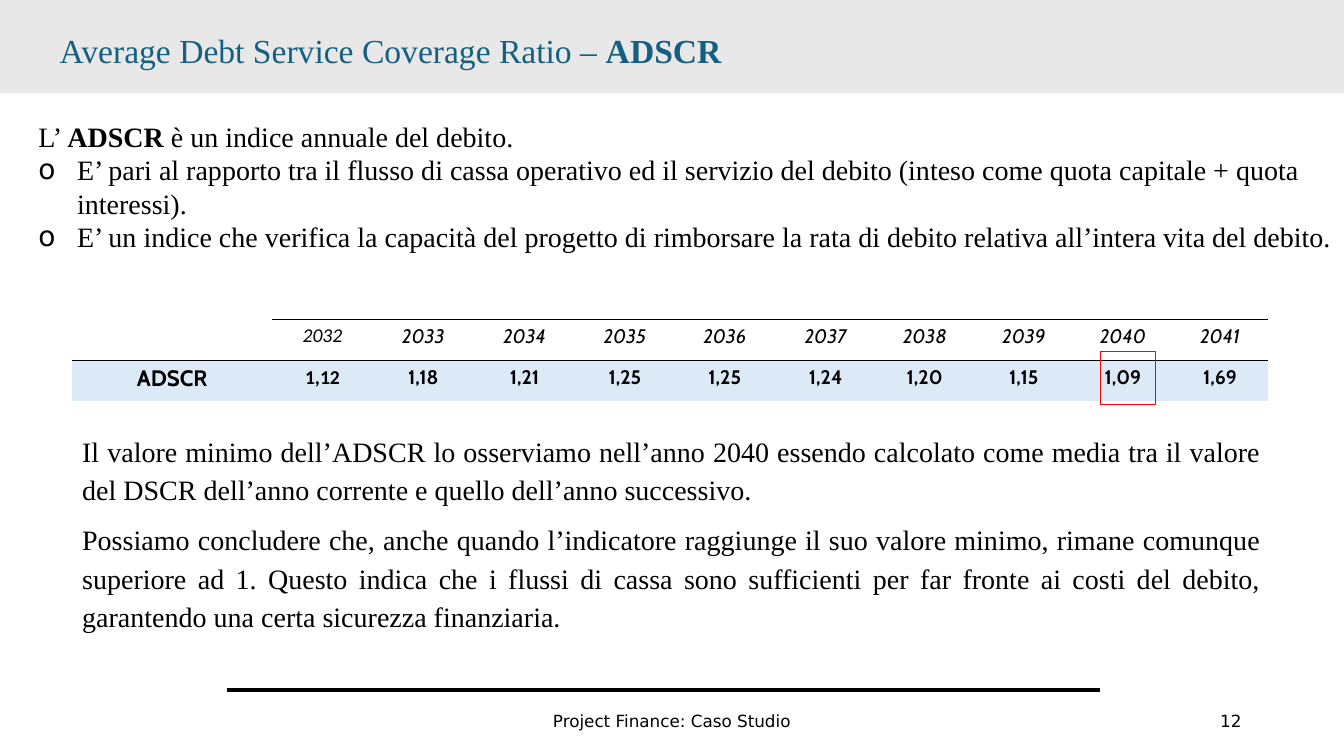
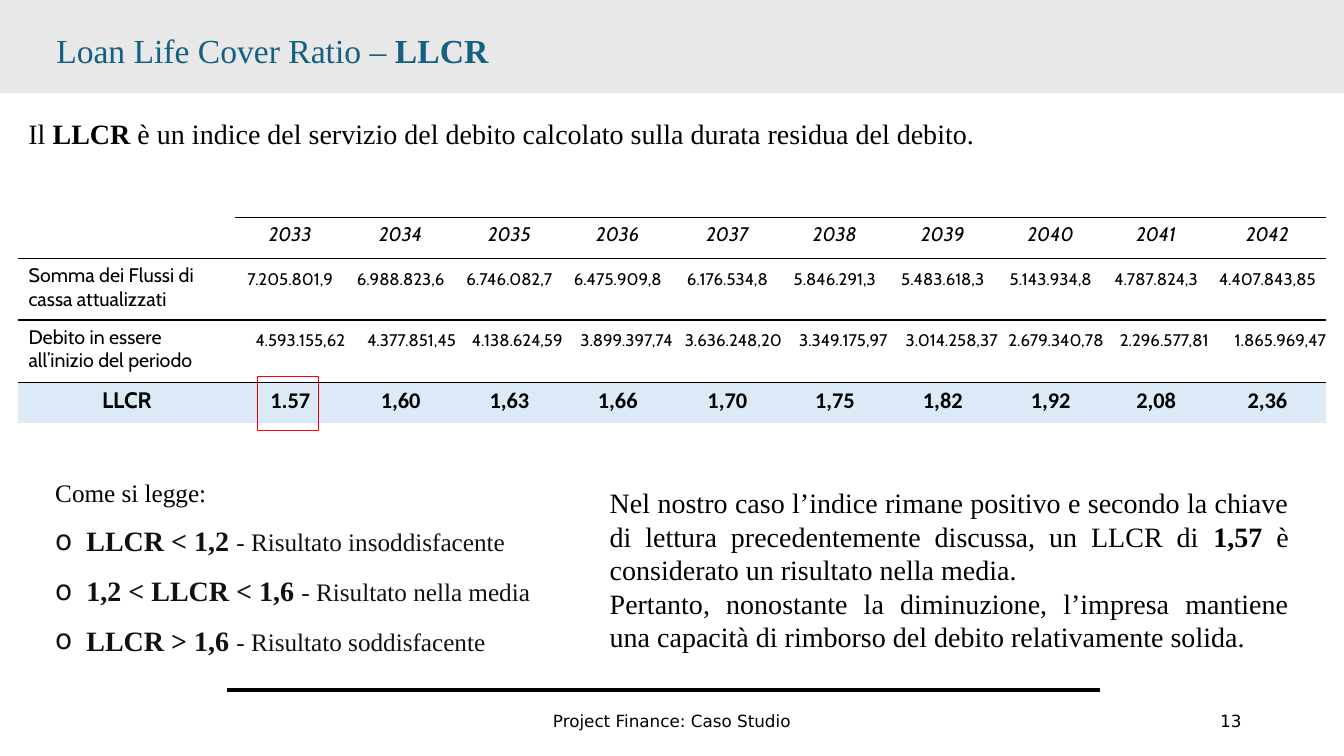
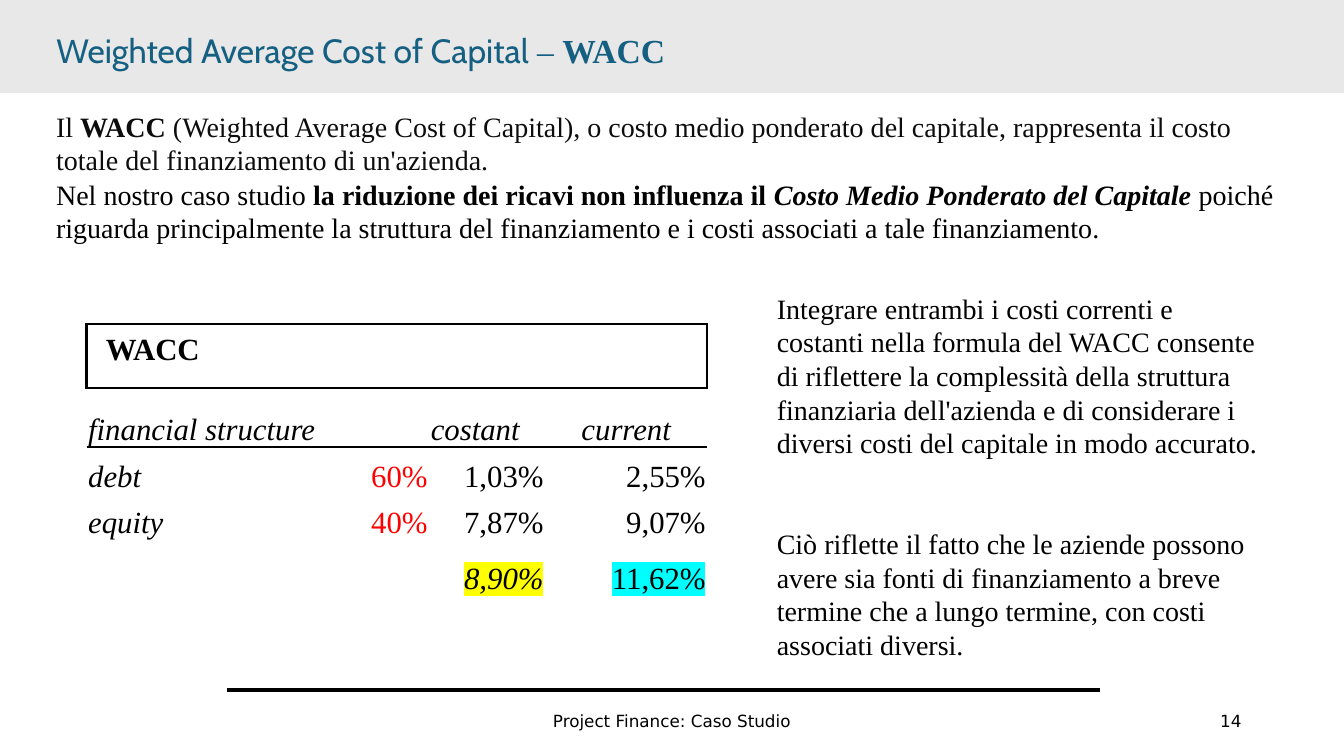
from lxml import etree
from pptx import Presentation
from pptx.dml.color import RGBColor
from pptx.enum.shapes import MSO_CONNECTOR, MSO_SHAPE
from pptx.enum.text import MSO_ANCHOR, MSO_AUTO_SIZE, PP_ALIGN
from pptx.oxml.ns import qn
from pptx.util import Emu, Pt

RECT, LINE = MSO_SHAPE.RECTANGLE, MSO_CONNECTOR.STRAIGHT
TOP, MID, LOW = MSO_ANCHOR.TOP, MSO_ANCHOR.MIDDLE, MSO_ANCHOR.BOTTOM
LEFT, MIDST, RIGHT, JUST = (PP_ALIGN.LEFT, PP_ALIGN.CENTER,
                            PP_ALIGN.RIGHT, PP_ALIGN.JUSTIFY)
FIXED = MSO_AUTO_SIZE.NONE
PLAIN = "{2D5ABB26-0587-4C30-8999-92F81FD0307C}"

COLS, ROWS, UNIT = 160, 90, 76200  # square cells, 12 to the inch
BLACK, TEAL, RED = "000000", "156082", "FF0000"
GREY, SKY, YELLOW, AQUA = "E8E8E8", "DCEAF7", "FFFF00", "00FFFF"
SERIF, CABIN, SANS, CARL = "Times New Roman", "Cabin", "DejaVu Sans", "Calibri"

BODY = dict(size=20, font=SERIF, color=BLACK)
BOLD = dict(bold=True)
FOOT = dict(size=12, font=SANS)
LOOSE = dict(lead=1.15, after=8)


def rgb(code):
    return RGBColor.from_string(code)


def grid(*units):
    return [Emu(round(u * UNIT)) for u in units]


def para(*runs, **style):
    return runs, style


def bold(text, **style):
    return text, {**BOLD, **style}


def node(parent, tag, **attrs):
    return etree.SubElement(parent, qn(tag), attrs)


class Deck:
    def __init__(self, first):
        self.prs = Presentation()
        self.prs.slide_width, self.prs.slide_height = grid(COLS, ROWS)
        self.num = first - 1

    def page(self, *title, left=5.5):
        """Start a slide with its band, title and footer."""
        self.num += 1
        self.slide = self.prs.slides.add_slide(self.prs.slide_layouts[5])
        self.shapes = self.slide.shapes
        band = self.box((0, 0, COLS, 11.1), fill=GREY)
        head = self.shapes.title
        band._element.addnext(head._element)
        head.left, head.top, head.width, head.height = grid(left, 2.9, 148, 6)
        self.fill(head.text_frame, [para(*title, size=24, color=TEAL)])
        self.text((53, 83.4, 54, 4.8),
                  para("Project Finance: Caso Studio", align=MIDST, **FOOT),
                  anchor=MID)
        self.text((113, 83.4, 36, 4.8),
                  para(str(self.num), align=RIGHT, **FOOT), anchor=MID)
        self.rule(27, 131, 82.1)

    def box(self, at, fill=None, line=None):
        shape = self.shapes.add_shape(RECT, *grid(*at))
        shape.shadow.inherit = False
        if fill:
            shape.fill.solid()
            shape.fill.fore_color.rgb = rgb(fill)
        else:
            shape.fill.background()
        if line:
            shape.line.color.rgb = rgb(line)
            shape.line.width = Pt(0.75)
        else:
            shape.line.fill.background()
        return shape

    def rule(self, start, end, row):
        line = self.shapes.add_connector(LINE, *grid(start, row, end, row))
        line.line.color.rgb = rgb(BLACK)
        line.line.width = Pt(3)
        node(line._element.spPr, "a:effectLst")

    def text(self, at, *paras, anchor=TOP):
        self.fill(self.shapes.add_textbox(*grid(*at)).text_frame, paras, anchor)

    def fill(self, frame, paras, anchor=TOP):
        frame.word_wrap = True
        frame.auto_size = FIXED
        frame.vertical_anchor = anchor
        for i, (runs, style) in enumerate(paras):
            par = frame.add_paragraph() if i else frame.paragraphs[0]
            self.lay(par, runs, style)

    def lay(self, par, runs, style):
        """Format a paragraph and add its runs."""
        par.alignment = style.get("align", LEFT)
        if "lead" in style:
            par.line_spacing = style["lead"]
        if "before" in style:
            par.space_before = Pt(style["before"])
        if "after" in style:
            par.space_after = Pt(style["after"])
        if "bullet" in style:
            props, (dent,) = par._p.get_or_add_pPr(), grid(style["bullet"])
            props.set("marL", str(dent))
            props.set("indent", str(-dent))
            node(props, "a:buFont", typeface=SANS)
            node(props, "a:buChar", char="o")
        for item in runs:
            words, own = (item, {}) if isinstance(item, str) else item
            self.run(par, words, {**BODY, **style, **own})

    def run(self, par, words, style):
        run = par.add_run()
        run.text, font = words, run.font
        font.size, font.name = Pt(style["size"]), style["font"]
        font.bold = style.get("bold", False)
        font.italic = style.get("italic", False)
        font.color.rgb = rgb(style["color"])
        if "mark" in style:
            mark = etree.Element(qn("a:highlight"))
            node(mark, "a:srgbClr", val=style["mark"])
            run._r.rPr.find(qn("a:solidFill")).addnext(mark)

    def table(self, at, cols, rows, data):
        """Fill a table from rows of (cells, style); a cell may add style."""
        size = grid(*at, sum(cols), sum(rows))
        table = self.shapes.add_table(len(rows), len(cols), *size).table
        table.first_row = table.horz_banding = False
        table._tbl.tblPr.find(qn("a:tableStyleId")).text = PLAIN
        for col, wide in zip(table.columns, grid(*cols)):
            col.width = wide
        for row, high in zip(table.rows, grid(*rows)):
            row.height = high
        for r, (cells, style) in enumerate(data):
            for c, item in enumerate(cells):
                words, own = (item, {}) if isinstance(item, str) else item
                self.cell(table.cell(r, c), words, {**style, **own})
        return table

    def cell(self, cell, words, style):
        cell.vertical_anchor = style.get("anchor", TOP)
        if "pad" in style:
            (cell.margin_left, cell.margin_top, cell.margin_right,
             cell.margin_bottom) = grid(*style["pad"])
        if "fill" in style:
            cell.fill.solid()
            cell.fill.fore_color.rgb = rgb(style["fill"])
        else:
            cell.fill.background()
        for i, side in enumerate(style.get("edge", "")):
            line = etree.Element(qn("a:ln" + side),
                                 w=str(Pt(style.get("edge_w", 1))))
            node(node(line, "a:solidFill"), "a:srgbClr", val=BLACK)
            cell._tc.get_or_add_tcPr().insert(i, line)
        if words:
            self.lay(cell.text_frame.paragraphs[0], [words], style)


def years(first):
    return [str(first + i) for i in range(10)]


HEAD = dict(size=14, font=CABIN, italic=True, align=MIDST, edge="TB")
TOTAL = dict(size=14, font=CABIN, bold=True, align=MIDST, fill=SKY, edge="T")
CORNER = ("", dict(edge="B"))


def adscr(deck):
    deck.page("Average Debt Service Coverage Ratio – ", bold("ADSCR"), left=5.9)
    deck.text(
        (3.4, 11.6, 156.5, 19.4),
        para("L’ ", bold("ADSCR "), "è un indice annuale del debito.", lead=1.5),
        para("E’ pari al rapporto tra il flusso di cassa operativo ed il "
             "servizio del debito (inteso come quota capitale + quota "
             "interessi).", bullet=4.6),
        para("E’ un indice che verifica la capacità del progetto di rimborsare "
             "la rata di debito relativa all’intera vita del debito.",
             bullet=4.6))
    carl = dict(font=CARL)
    first, *rest = years(2032)
    ratios = "1,18 1,21 1,25 1,25 1,24 1,20 1,15 1,09 1,69".split()
    deck.table(
        (8.6, 38),
        [23.8, 12, 12, 12.1, 11.8, 12, 12, 11.6, 12, 11.6, 11.5], [4.9, 4.9],
        [([CORNER, (first, carl), *rest], HEAD),
         ([("ADSCR", dict(size=16)), ("1,12", carl), *ratios], TOTAL)])
    deck.text(
        (8.6, 50.5, 142.7, 25.4),
        para("Il valore minimo dell’ADSCR lo osserviamo nell’anno 2040 essendo "
             "calcolato come media tra il valore del DSCR dell’anno corrente e "
             "quello dell’anno successivo.", align=JUST, **LOOSE),
        para("Possiamo concludere che, anche quando l’indicatore raggiunge il "
             "suo valore minimo, rimane comunque superiore ad 1. Questo indica "
             "che i flussi di cassa sono sufficienti per far fronte ai costi "
             "del debito, garantendo una certa sicurezza finanziaria.",
             align=JUST, **LOOSE))
    deck.box((131, 41.8, 6.6, 6.4), line=RED)


def llcr(deck):
    deck.page("Loan Life Cover Ratio – ", bold("LLCR"))
    deck.text(
        (2.2, 13.3, 150.8, 5.3),
        para("Il ", bold("LLCR"), " è un indice del servizio del debito "
             "calcolato sulla durata residua del debito."))
    flows = ("7.205.801,9 6.988.823,6 6.746.082,7 6.475.909,8 6.176.534,8 "
             "5.846.291,3 5.483.618,3 5.143.934,8 4.787.824,3 4.407.843,85")
    debts = ("4.593.155,62 4.377.851,45 4.138.624,59 3.899.397,74 3.636.248,20 "
             "3.349.175,97 3.014.258,37 2.679.340,78 2.296.577,81 1.865.969,47")
    ratios = "1.57 1,60 1,63 1,66 1,70 1,75 1,82 1,92 2,08 2,36"
    label = dict(size=14, align=LEFT, lead=1.0, pad=(1.2, 0.6, 1.2, 0.6))
    sums = dict(size=12, font=CABIN, lead=1.5, pad=(0, 0, 0, 0), edge="B")
    deck.table(
        (2.2, 25.9),
        [25.8, 13.1, 13.2, 12.7, 13.1, 13, 12.6, 13.1, 12.6, 12.5, 14],
        [4.9, 7.3, 7.4, 4.9],
        [([CORNER, *years(2033)], HEAD),
         ([("Somma dei Flussi di cassa attualizzati", label), *flows.split()],
          {**sums, "align": MIDST}),
         ([("Debito in essere all’inizio del periodo", label), *debts.split()],
          {**sums, "align": RIGHT}),
         ([("LLCR", dict(font=CABIN)), *ratios.split()],
          {**TOTAL, "size": 16, "font": CARL})])
    keys = [("LLCR < 1,2 ", "insoddisfacente"),
            ("1,2 < LLCR < 1,6 ", "nella media"),
            ("LLCR > 1,6 ", "soddisfacente")]
    deck.text(
        (5.4, 55.7, 61.4, 23),
        para("Come si legge:", size=18, **LOOSE),
        *[para(bold(span, size=20), "- Risultato " + grade, size=18,
               color="111111", bullet=3.7, **LOOSE) for span, grade in keys])
    deck.text(
        (71.4, 57.2, 83.2, 21.4),
        para("Nel nostro caso l’indice rimane positivo e secondo la chiave di "
             "lettura precedentemente discussa, un LLCR di ", bold("1,57"),
             " è considerato un risultato nella media.", align=JUST),
        para("Pertanto, nonostante la diminuzione, l’impresa mantiene una "
             "capacità di rimborso del debito relativamente solida.",
             align=JUST))
    deck.box((30.7, 44.8, 7.2, 6.4), line=RED)


def wacc(deck):
    deck.page(("Weighted Average Cost of Capital", dict(font=CABIN)), " – ",
              bold("WACC"))
    deck.text(
        (5.5, 12.4, 148.8, 9.2),
        para("Il ", bold("WACC "), "(Weighted Average Cost of Capital), o costo "
             "medio ponderato del capitale, rappresenta il costo totale del "
             "finanziamento di un'azienda.", color="0D0D0D"))
    slant, red = dict(italic=True, align=LEFT), dict(color=RED)
    frame = dict(size=22, bold=True, edge="TB", edge_w=2,
                 pad=(2.3, 1.1, 2.3, 1.1))
    cost = dict(size=22, align=RIGHT, anchor=LOW, pad=(0.2, 0.2, 0.2, 0))
    table = deck.table(
        (10.3, 38.6), [30.8, 10, 13.8, 19.3], [7.6, 7, 5.6, 5.5, 6.7],
        [([("WACC", dict(edge="LRTB")), "", "", ("", dict(edge="RTB"))], frame),
         (["financial structure", "", "costant",
           ("current", dict(align=MIDST))],
          {**cost, **slant, "edge": "T", "edge_w": 2}),
         ([("debt", slant), ("60%", red), "1,03%", "2,55%"], cost),
         ([("equity", slant), ("40%", red), "7,87%", "9,07%"], cost),
         (["", "", ("8,90%", dict(italic=True, mark=YELLOW)),
           ("11,62%", dict(mark=AQUA))], cost)])
    table.cell(0, 0).merge(table.cell(0, 3))
    deck.text(
        (91.3, 34.1, 60.7, 45.6),
        para("Integrare entrambi i costi correnti e costanti nella formula del "
             "WACC consente di riflettere la complessità della struttura "
             "finanziaria dell'azienda e di considerare i diversi costi del "
             "capitale in modo accurato."),
        para("Ciò riflette il fatto che le aziende possono avere sia fonti di "
             "finanziamento a breve termine che a lungo termine, con costi "
             "associati diversi.", before=48))
    deck.text(
        (5.5, 20.5, 148.8, 13),
        para("Nel nostro caso studio ",
             bold("la riduzione dei ricavi non influenza il "),
             bold("Costo Medio Ponderato del Capitale ", italic=True),
             "poiché riguarda principalmente la struttura del finanziamento e "
             "i costi associati a tale finanziamento."))


def main():
    deck = Deck(first=12)
    for make in (adscr, llcr, wacc):
        make(deck)
    deck.prs.save("out.pptx")


if __name__ == "__main__":
    main()
